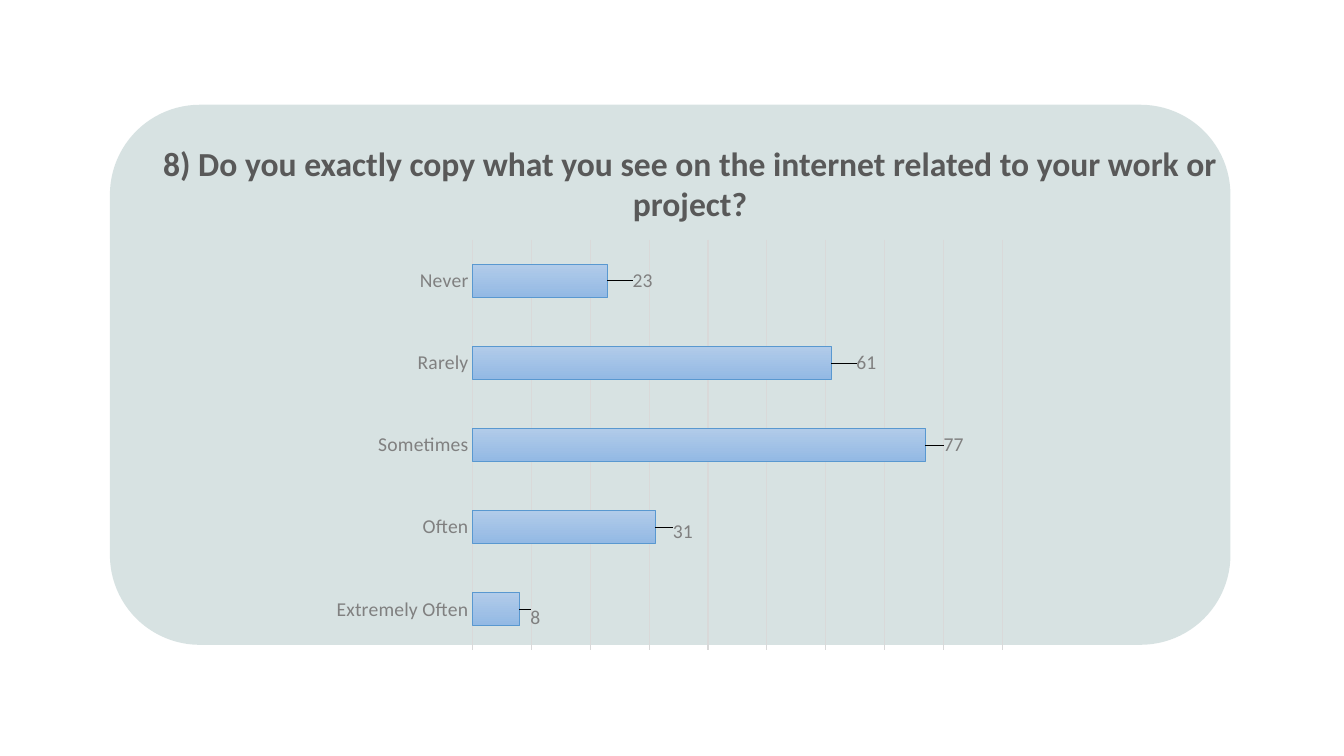
"""Build a survey slide with one bar chart on a rounded panel."""
import dataclasses

import lxml.etree
import pptx
import pptx.chart.data
import pptx.dml.color
import pptx.enum.chart
import pptx.enum.shapes
import pptx.enum.text
import pptx.oxml
import pptx.oxml.ns
import pptx.util

Cm = pptx.util.Cm
Pt = pptx.util.Pt
qn = pptx.oxml.ns.qn
FONT = "Calibri"
GREY = "808080"


@dataclasses.dataclass(frozen=True)
class Box:
    left: float
    top: float
    width: float
    height: float

    def place(self) -> tuple:
        return Cm(self.left), Cm(self.top), Cm(self.width), Cm(self.height)


@dataclasses.dataclass(frozen=True)
class Answer:
    name: str
    count: int
    shift: float
    drop: float = 0


PANEL = Box(2.77, 2.64, 28.24, 13.61)
TITLE = Box(3.71, 3.48, 27.36, 2.31)
CHART = Box(8.15, 5.79, 17.48, 10.77)
ANSWERS = [
    Answer("Extremely Often", 8, 0.01, 0.02),
    Answer("Often", 31, 0.02, 0.01),
    Answer("Sometimes", 77, 0.02),
    Answer("Rarely", 61, 0.03),
    Answer("Never", 23, 0.03),
]


def paint(color, code: str) -> None:
    color.rgb = pptx.dml.color.RGBColor.from_string(code)


def style(font, size: float, code: str, bold: bool = False) -> None:
    font.name, font.size, font.bold = FONT, Pt(size), bold
    paint(font.color, code)


def layout(**parts) -> lxml.etree._Element:
    node = lxml.etree.Element(qn("c:layout"))
    manual = lxml.etree.SubElement(node, qn("c:manualLayout"))
    for tag, val in parts.items():
        lxml.etree.SubElement(manual, qn("c:" + tag)).set("val", str(val))
    return node


def draw_panel(slide, box: Box) -> None:
    kind = pptx.enum.shapes.MSO_SHAPE.ROUNDED_RECTANGLE
    panel = slide.shapes.add_shape(kind, *box.place())
    panel.shadow.inherit = False
    panel.line.fill.background()
    panel.fill.solid()
    paint(panel.fill.fore_color, "B1C7C7")
    tint = panel.element.spPr.find(".//" + qn("a:srgbClr"))
    lxml.etree.SubElement(tint, qn("a:alpha")).set("val", "50000")


def draw_title(slide, box: Box, text: str) -> None:
    frame = slide.shapes.add_textbox(*box.place()).text_frame
    frame.word_wrap = True
    para = frame.paragraphs[0]
    para.alignment = pptx.enum.text.PP_ALIGN.CENTER
    run = para.add_run()
    run.text = text
    style(run.font, 24, "595959", True)


def draw_chart(slide, box: Box, answers: list[Answer]) -> None:
    enum = pptx.enum.chart
    data = pptx.chart.data.CategoryChartData()
    data.categories = [item.name for item in answers]
    data.add_series("Series 1", [item.count for item in answers])
    kind = enum.XL_CHART_TYPE.BAR_CLUSTERED
    chart = slide.shapes.add_chart(kind, *box.place(), data).chart
    chart.has_legend = chart.has_title = False
    style(chart.font, 10, "000000")

    names = chart.category_axis
    names.major_tick_mark = enum.XL_TICK_MARK.NONE
    names.format.line.fill.background()
    style(names.tick_labels.font, 14, GREY)

    scale = chart.value_axis
    scale.minimum_scale, scale.maximum_scale, scale.major_unit = 0, 90, 10
    scale.visible = False
    scale.has_major_gridlines = True
    grid = scale.major_gridlines.format.line
    grid.width = Pt(0.75)
    paint(grid.color, "D9D9D9")

    plot = chart.plots[0]
    plot.gap_width, plot.vary_by_categories = 150, False
    bars = plot.series[0]
    fill = bars.format.fill
    fill.gradient()
    fill.gradient_angle = 270
    for stop, code in zip(fill.gradient_stops, ("B1CBE9", "93B9E4")):
        paint(stop.color, code)
    bars.format.line.width = Pt(0.75)
    paint(bars.format.line.color, "5998D0")

    place = enum.XL_LABEL_POSITION.OUTSIDE_END
    labels = bars.data_labels
    labels.show_value, labels.position = True, place
    style(labels.font, 14, GREY)
    for index in range(len(answers)):
        label = bars.points[index].data_label
        label.position = place
        style(label.font, 14, GREY)

    root = chart.element if hasattr(chart, "element") else chart._chartSpace
    for item, node in zip(answers, root.iter(qn("c:dLbl"))):
        node.find(qn("c:idx")).addnext(layout(x=item.shift, y=item.drop))
    area = root.find(".//" + qn("c:plotArea"))
    for old in area.findall(qn("c:layout")):
        area.remove(old)
    area.insert(0, layout(layoutTarget="inner", xMode="edge", yMode="edge",
                          x=0.215, y=0.024, w=0.764, h=0.96))


def main() -> None:
    deck = pptx.Presentation()
    deck.slide_width, deck.slide_height = Cm(33.87), Cm(19.05)
    slide = deck.slides.add_slide(deck.slide_layouts[6])
    draw_panel(slide, PANEL)
    draw_title(slide, TITLE, "8) Do you exactly copy what you see on the "
               "internet related to your work or project?")
    draw_chart(slide, CHART, ANSWERS)
    deck.save("out.pptx")


if __name__ == "__main__":
    main()
